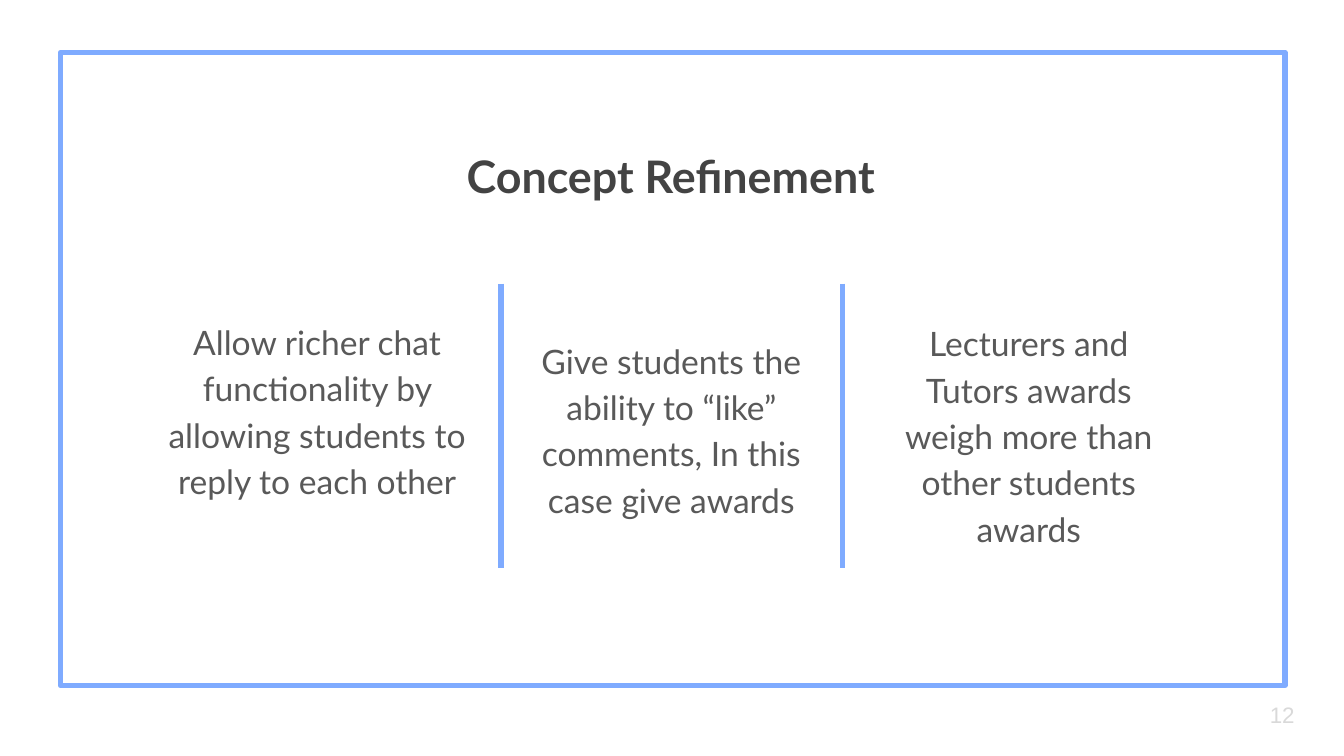
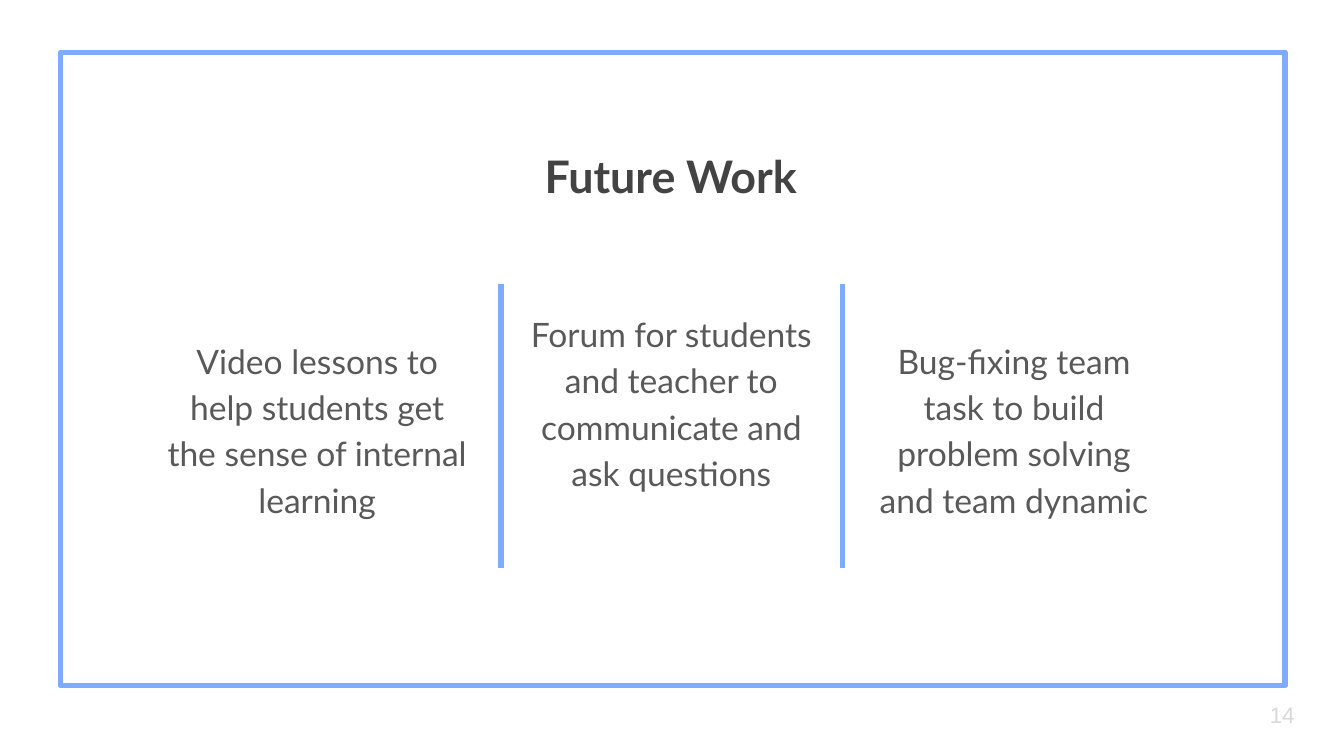
from lxml import etree
from pptx import Presentation
from pptx.dml.color import RGBColor
from pptx.enum.shapes import MSO_CONNECTOR, MSO_SHAPE
from pptx.enum.text import MSO_ANCHOR, MSO_AUTO_SIZE, PP_ALIGN
from pptx.oxml.ns import qn
from pptx.util import Inches, Pt

LEFT, CENTER = PP_ALIGN.LEFT, PP_ALIGN.CENTER
TOP, MIDDLE = MSO_ANCHOR.TOP, MSO_ANCHOR.MIDDLE
RECTANGLE = MSO_SHAPE.RECTANGLE
STRAIGHT = MSO_CONNECTOR.STRAIGHT
NO_AUTOFIT = MSO_AUTO_SIZE.NONE
TITLE_ONLY = 5

WHITE = RGBColor(0xFF, 0xFF, 0xFF)
BLUE = RGBColor(0x7F, 0xAB, 0xFF)
DARK_GREY = RGBColor(0x43, 0x43, 0x43)
TEXT_GREY = RGBColor(0x59, 0x59, 0x59)
LIGHT_GREY = RGBColor(0xD9, 0xD9, 0xD9)

# Content: each column is its text and its box (left, top, width, height)
SLIDES = [
    {
        "title": "Concept Refinement",
        "number": "12",
        "columns": [
            ("Allow richer chat functionality by allowing students to reply to each other",
             (1.12, 2.25, 2.48, 1.84)),
            ("Give students the ability to “like” comments, In this case give awards",
             (3.84, 2.39, 2.31, 1.56)),
            ("Lecturers and Tutors awards weigh more than other students awards",
             (6.5, 2.26, 2.31, 1.82)),
        ],
    },
    {
        "title": "Future Work",
        "number": "14",
        "columns": [
            ("Video lessons to help students get the sense of internal learning",
             (1.12, 2.39, 2.48, 1.56)),
            ("Forum for students and teacher to communicate and ask questions",
             (3.84, 2.19, 2.31, 1.95)),
            ("Bug-fixing team task to build problem solving and team dynamic",
             (6.39, 2.39, 2.31, 1.56)),
        ],
    },
]

# Shared layout, on a 16:9 slide
SLIDE_WIDTH = Inches(10)
SLIDE_HEIGHT = SLIDE_WIDTH * 9 // 16
FRAME_BOX = (0.45, 0.39, 9.11, 4.71)
TITLE_BOX = (-0.01, 1.01, 10, 0.53)
NUMBER_BOX = (9.35, 5.1, 0.6, 0.43)
DIVIDER_LEFTS = (3.73, 6.27)
DIVIDER_TOP, DIVIDER_BOTTOM = 2.11, 4.23
LINE_WIDTH = Pt(3)
INSET = Inches(0.1)


def inches(box):
    return [Inches(length) for length in box]


def write_text(shape, text, size, color, font="Lato", bold=False, align=CENTER,
               anchor=TOP, line_spacing=1.0, space_after=0):
    frame = shape.text_frame
    frame.word_wrap = True
    frame.auto_size = NO_AUTOFIT
    frame.vertical_anchor = anchor
    frame.margin_left = frame.margin_right = INSET
    frame.margin_top = frame.margin_bottom = INSET
    frame.text = text
    paragraph = frame.paragraphs[0]
    paragraph.alignment = align
    paragraph.line_spacing = line_spacing
    paragraph.space_before = Pt(0)
    paragraph.space_after = Pt(space_after)
    run_font = paragraph.runs[0].font
    run_font.name = font
    run_font.size = Pt(size)
    run_font.bold = bold
    run_font.color.rgb = color


def style_line(shape):
    shape.line.color.rgb = BLUE
    shape.line.width = LINE_WIDTH


def add_frame(slide):
    frame = slide.shapes.add_shape(RECTANGLE, *inches(FRAME_BOX))
    frame.shadow.inherit = False
    frame.fill.background()
    style_line(frame)
    # Rounded line corners
    outline = frame.element.spPr.find(qn("a:ln"))
    etree.SubElement(outline, qn("a:round"))


def add_divider(slide, left):
    divider = slide.shapes.add_connector(
        STRAIGHT, *inches((left, DIVIDER_TOP, left, DIVIDER_BOTTOM)))
    style_line(divider)
    etree.SubElement(divider.element.spPr, qn("a:effectLst"))


def set_title(slide, text):
    title = slide.shapes.title
    title.left, title.top, title.width, title.height = inches(TITLE_BOX)
    write_text(title, text, 24, DARK_GREY, bold=True)


def add_slide(presentation, content):
    slide = presentation.slides.add_slide(presentation.slide_layouts[TITLE_ONLY])
    slide.background.fill.solid()
    slide.background.fill.fore_color.rgb = WHITE
    add_frame(slide)
    set_title(slide, content["title"])

    # Columns and the lines between them
    for left in DIVIDER_LEFTS:
        add_divider(slide, left)
    for text, box in content["columns"]:
        column = slide.shapes.add_textbox(*inches(box))
        write_text(column, text, 18, TEXT_GREY, line_spacing=1.15, space_after=12)

    # Slide number
    number = slide.shapes.add_textbox(*inches(NUMBER_BOX))
    write_text(number, content["number"], 12, LIGHT_GREY, font="Arial",
               align=LEFT, anchor=MIDDLE)


def main():
    presentation = Presentation()
    presentation.slide_width = SLIDE_WIDTH
    presentation.slide_height = SLIDE_HEIGHT
    for content in SLIDES:
        add_slide(presentation, content)
    presentation.save("out.pptx")


if __name__ == "__main__":
    main()
